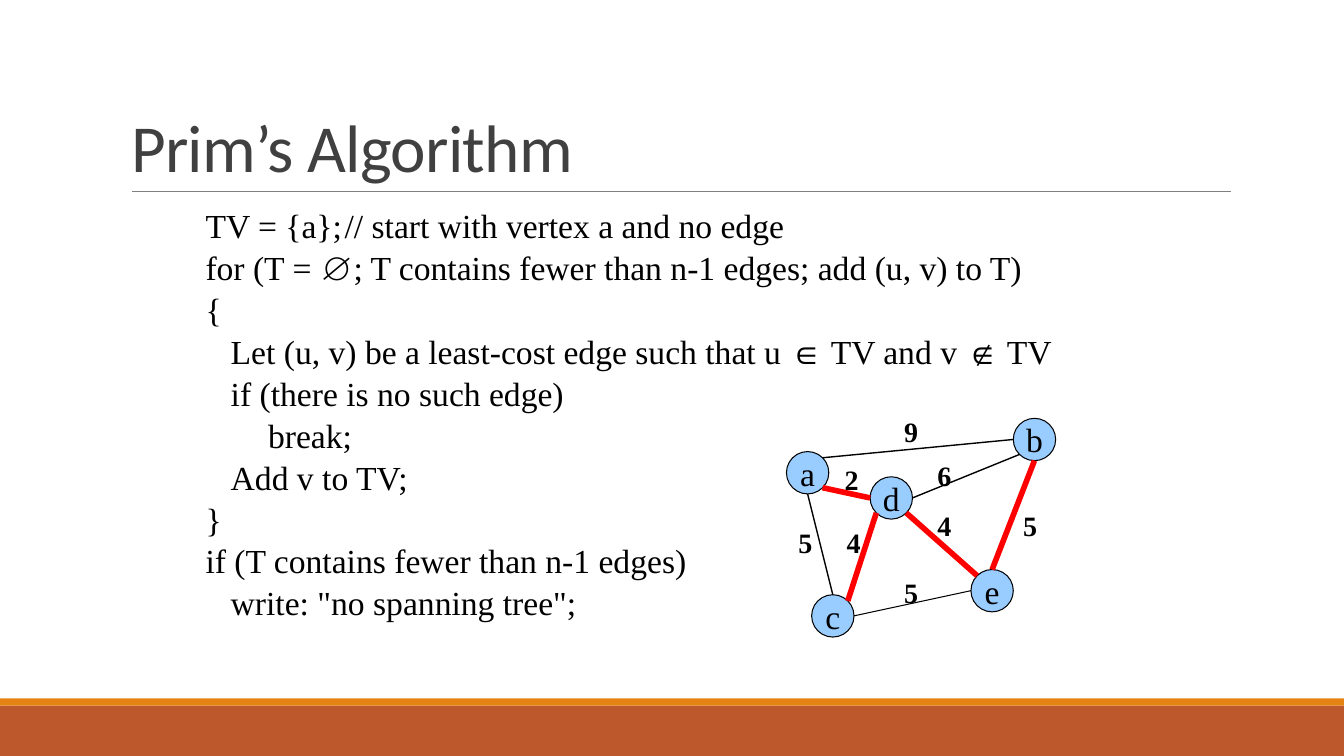
import math

import pptx
import pptx.dml.color
import pptx.enum.shapes
import pptx.enum.text
import pptx.oxml.ns
import pptx.util
from lxml import etree
from pptx.dml.color import RGBColor
from pptx.util import Inches

BLACK = RGBColor(0x00, 0x00, 0x00)
RED = RGBColor(0xFF, 0x00, 0x00)
GRAY = RGBColor(0x80, 0x80, 0x80)
DARK_GRAY = RGBColor(0x40, 0x40, 0x40)
LIGHT_BLUE = RGBColor(0x99, 0xCC, 0xFF)
ORANGE = RGBColor(0xE4, 0x83, 0x12)
RUST = RGBColor(0xBD, 0x58, 0x2C)

SLIDE_WIDTH, SLIDE_HEIGHT = 13.33, 7.5
NODE_SIZE = 0.42
TAB_STOPS = (0.25, 0.62, 1.13, 1.38)

CODE = """TV = {a};\t// start with vertex a and no edge
for (T = ∅; T contains fewer than n-1 edges; add (u, v) to T)
{
   Let (u, v) be a least-cost edge such that u ∈ TV and v ∉ TV
\tif (there is no such edge)
\t\tbreak;
\tAdd v to TV;
}
if (T contains fewer than n-1 edges)
\twrite: "no spanning tree";"""

# Node centres
NODES = {"a": (8.01, 4.69), "c": (8.26, 6.11), "e": (9.84, 5.86),
         "d": (8.84, 4.94), "b": (10.26, 4.36)}

# Angles on a node's rim, in degrees clockwise from the right
RIM = {"E": 0, "SE": 45, "S": 90, "SW": 135, "W": 180, "NW": 225, "N": 270, "NE": 315}

# Start node and side, end node and side, colour, line width
EDGES = [("a", "NE", "b", "W", BLACK, 1), ("d", "E", "b", "SW", BLACK, 1),
         ("a", "S", "c", "N", BLACK, 1), ("a", "SE", "d", "W", RED, 4),
         ("c", "NE", "d", "SW", RED, 4), ("d", "SE", "e", "NW", RED, 4),
         ("b", "S", "e", "N", RED, 4), ("e", "W", "c", "E", BLACK, 0.75)]

# Edge cost, left, top
COSTS = [("2", 8.28, 4.54), ("4", 8.3, 5.16), ("5", 7.82, 5.16), ("9", 8.87, 4.06),
         ("6", 9.2, 4.5), ("4", 9.2, 5), ("5", 8.87, 5.66), ("5", 10.05, 5)]


def rim_point(node, side):
    x, y = NODES[node]
    angle = math.radians(RIM[side])
    return x + NODE_SIZE / 2 * math.cos(angle), y + NODE_SIZE / 2 * math.sin(angle)


class SlideBuilder:
    def __init__(self, slide, font="Times New Roman"):
        self.slide = slide
        self.font = font

    def format(self, paragraph, size, color=BLACK, bold=False, font=None):
        paragraph.font.name = font or self.font
        paragraph.font.size = pptx.util.Pt(size)
        paragraph.font.bold = bold
        paragraph.font.color.rgb = color

    def title(self, text, left, top, width, height):
        title = self.slide.shapes.title
        title.left, title.top = Inches(left), Inches(top)
        title.width, title.height = Inches(width), Inches(height)
        title.text_frame.text = text
        title.text_frame.vertical_anchor = pptx.enum.text.MSO_ANCHOR.BOTTOM
        paragraph = title.text_frame.paragraphs[0]
        paragraph.alignment = pptx.enum.text.PP_ALIGN.LEFT
        paragraph.line_spacing = 0.85
        self.format(paragraph, 48, DARK_GRAY, font="Calibri")
        paragraph._p.pPr.find(pptx.oxml.ns.qn("a:defRPr")).set("spc", "-50")

    def shape(self, kind, left, top, width, height, fill):
        shape = self.slide.shapes.add_shape(
            kind, Inches(left), Inches(top), Inches(width), Inches(height))
        shape.shadow.inherit = False
        shape.fill.solid()
        shape.fill.fore_color.rgb = fill
        shape.line.fill.background()
        return shape

    def band(self, top, height, fill):
        self.shape(pptx.enum.shapes.MSO_SHAPE.RECTANGLE, 0, top, SLIDE_WIDTH, height, fill)

    def node(self, name, x, y):
        shape = self.shape(pptx.enum.shapes.MSO_SHAPE.OVAL, x - NODE_SIZE / 2,
                           y - NODE_SIZE / 2, NODE_SIZE, NODE_SIZE, LIGHT_BLUE)
        shape.line.color.rgb = BLACK
        shape.line.width = pptx.util.Pt(0.75)
        frame = shape.text_frame
        frame.text = name
        frame.word_wrap = False
        frame.vertical_anchor = pptx.enum.text.MSO_ANCHOR.MIDDLE
        frame.paragraphs[0].alignment = pptx.enum.text.PP_ALIGN.CENTER
        self.format(frame.paragraphs[0], 24)

    def line(self, start, end, color, width):
        connector = self.slide.shapes.add_connector(
            pptx.enum.shapes.MSO_CONNECTOR.STRAIGHT,
            *(Inches(length) for length in (*start, *end)))
        connector.line.color.rgb = color
        connector.line.width = pptx.util.Pt(width)
        etree.SubElement(connector._element.spPr, pptx.oxml.ns.qn("a:effectLst"))

    def text_box(self, text, left, top, width, height, size, bold=False, wrap=False):
        box = self.slide.shapes.add_textbox(
            Inches(left), Inches(top), Inches(width), Inches(height))
        box.text_frame.word_wrap = wrap
        box.text_frame.text = text
        for paragraph in box.text_frame.paragraphs:
            self.format(paragraph, size, bold=bold)
        return box

    def code(self, text, left, top, width, height):
        box = self.text_box("", left, top, width, height, 24, wrap=True)
        box.text_frame.text = text
        for paragraph in box.text_frame.paragraphs:
            properties = paragraph._p.get_or_add_pPr()
            tabs = etree.SubElement(properties, pptx.oxml.ns.qn("a:tabLst"))
            for stop in TAB_STOPS:
                etree.SubElement(tabs, pptx.oxml.ns.qn("a:tab"),
                                 pos=str(Inches(stop)), algn="l")
            paragraph.line_spacing = 1.04
            self.format(paragraph, 24)


def main():
    presentation = pptx.Presentation()
    presentation.slide_width = Inches(SLIDE_WIDTH)
    presentation.slide_height = Inches(SLIDE_HEIGHT)
    builder = SlideBuilder(presentation.slides.add_slide(presentation.slide_layouts[5]))

    # Footer bands and title rule
    builder.band(7, 0.5, RUST)
    builder.band(6.93, 0.07, ORANGE)
    builder.line((1.31, 1.9), (12.21, 1.9), GRAY, 0.5)

    # Title and pseudocode
    builder.title("Prim’s Algorithm", 1.2, 0.31, 11, 1.59)
    builder.code(CODE, 1.94, 1.97, 9.73, 4.14)

    # Graph with its spanning tree in red
    for name, (x, y) in NODES.items():
        builder.node(name, x, y)
    for start, start_side, end, end_side, color, width in EDGES:
        builder.line(rim_point(start, start_side), rim_point(end, end_side), color, width)
    for cost, left, top in COSTS:
        builder.text_box(cost, left, top, 0.34, 0.44, 20, bold=True)

    presentation.save("out.pptx")


if __name__ == "__main__":
    main()
